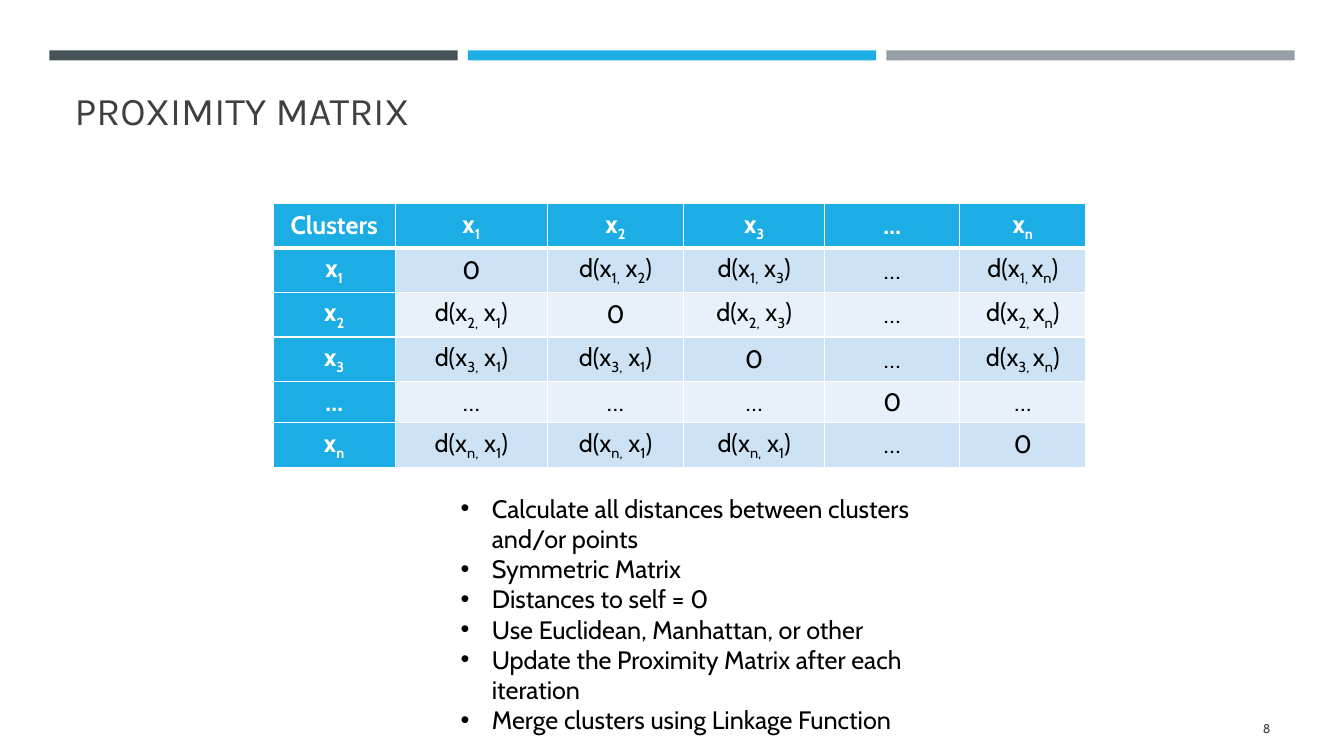
"""Build the proximity matrix slide."""
from lxml import etree
from pptx import Presentation
from pptx.dml.color import RGBColor
from pptx.enum.shapes import MSO_SHAPE
from pptx.enum.text import MSO_ANCHOR, MSO_AUTO_SIZE, PP_ALIGN
from pptx.oxml.ns import qn
from pptx.util import Inches, Pt

COLORS = {
    "slate": "465359", "blue": "1CADE4", "gray": "969FA7", "white": "FFFFFF",
    "black": "000000", "text": "404040", "odd": "CDE3F5", "even": "E8F1FA",
}


def add_span(para, text, size, color, font="Cabin", bold=False, subscript=False):
    span = para.add_run()
    span.text = text
    span.font.name = font
    span.font.size = Pt(size)
    span.font.bold = bold
    span.font.color.rgb = RGBColor.from_string(COLORS[color])
    if subscript:
        span._r.get_or_add_rPr().set("baseline", "-25000")


def add_borders(cell, bottom_width):
    properties = cell._tc.get_or_add_tcPr()
    widths = {"a:lnL": 1, "a:lnR": 1, "a:lnT": 1, "a:lnB": bottom_width}
    for position, (side, width) in enumerate(widths.items()):
        line = etree.Element(qn(side), w=str(Pt(width)))
        fill = etree.SubElement(line, qn("a:solidFill"))
        etree.SubElement(fill, qn("a:srgbClr"), val=COLORS["white"])
        properties.insert(position, line)


deck = Presentation()
deck.slide_width, deck.slide_height = Inches(13.33), Inches(7.5)
page = deck.slides.add_slide(deck.slide_layouts[5])

for index, color in enumerate(["slate", "blue", "gray"]):
    bar = page.shapes.add_shape(
        MSO_SHAPE.RECTANGLE, Inches(0.49 + 4.15 * index), Inches(0.5), Inches(4.05), Inches(0.1))
    bar.shadow.inherit = False
    bar.fill.solid()
    bar.fill.fore_color.rgb = RGBColor.from_string(COLORS[color])
    bar.line.fill.background()

title = page.shapes.title
title.left, title.top = Inches(0.64), Inches(0.77)
title.width, title.height = Inches(12.06), Inches(0.6)
title.text_frame.word_wrap = True
title.text_frame.auto_size = MSO_AUTO_SIZE.NONE
title.text_frame.vertical_anchor = MSO_ANCHOR.BOTTOM
para = title.text_frame.paragraphs[0]
para.alignment = PP_ALIGN.LEFT
add_span(para, "PROXIMITY MATRIX", 28, "text", font="Karla")

points = ["Clusters", "1", "2", "3", "…", "n"]
column_widths = [1.21, 1.51, 1.35, 1.4, 1.34, 1.25]
matrix = page.shapes.add_table(
    len(points), len(points), Inches(2.71), Inches(2.02), Inches(8.06), Inches(2.46)).table
for column, width in zip(matrix.columns, column_widths):
    column.width = Inches(width)

for row, row_point in enumerate(points):
    matrix.rows[row].height = Inches(0.41)
    for col, col_point in enumerate(points):
        is_header = row == 0 or col == 0
        point = points[row + col]if is_header else None
        if is_header:
            pieces = [point] if point in ("Clusters", "…") else ["x", point]
        elif row == col:
            pieces = ["0"]
        elif "…" in (row_point, col_point):
            pieces = ["…"]
        elif col_point == "n":
            pieces = ["d(x", f"{row_point}, ", "x", "n", ")"]
        else:
            target = col_point if col > row else "1"
            pieces = ["d(x", f"{row_point},", " x", target, ")"]

        cell = matrix.cell(row, col)
        cell.vertical_anchor = MSO_ANCHOR.MIDDLE
        cell.fill.solid()
        fill = "blue" if is_header else "odd" if row % 2 else "even"
        cell.fill.fore_color.rgb = RGBColor.from_string(COLORS[fill])
        add_borders(cell, 3 if row == 0 else 1)
        para = cell.text_frame.paragraphs[0]
        para.alignment = PP_ALIGN.CENTER
        for index, piece in enumerate(pieces):
            add_span(para, piece, 18, "white" if is_header else "black",
                     bold=is_header, subscript=index % 2 == 1)

number_box = page.shapes.add_textbox(Inches(11.55), Inches(7.03), Inches(1.15), Inches(0.4))
number_box.text_frame.word_wrap = True
number_box.text_frame.vertical_anchor = MSO_ANCHOR.MIDDLE
para = number_box.text_frame.paragraphs[0]
para.alignment = PP_ALIGN.RIGHT
add_span(para, "8", 9, "text")

notes = [
    "Calculate all distances between clusters and/or points",
    "Symmetric Matrix",
    "Distances to self = 0",
    "Use Euclidean, Manhattan, or other",
    "Update the Proximity Matrix after each iteration",
    "Merge clusters using Linkage Function",
]
notes_box = page.shapes.add_textbox(Inches(4.47), Inches(4.84), Inches(5.31), Inches(1.51))
frame = notes_box.text_frame
frame.word_wrap = True
frame.auto_size = MSO_AUTO_SIZE.SHAPE_TO_FIT_TEXT
for index, note in enumerate(notes):
    para = frame.add_paragraph() if index else frame.paragraphs[0]
    properties = para._p.get_or_add_pPr()
    properties.set("marL", str(Inches(0.31)))
    properties.set("indent", str(-Inches(0.31)))
    etree.SubElement(properties, qn("a:buFont"), typeface="Arial")
    etree.SubElement(properties, qn("a:buChar"), char="•")
    add_span(para, note, 18, "black")

deck.save("out.pptx")
